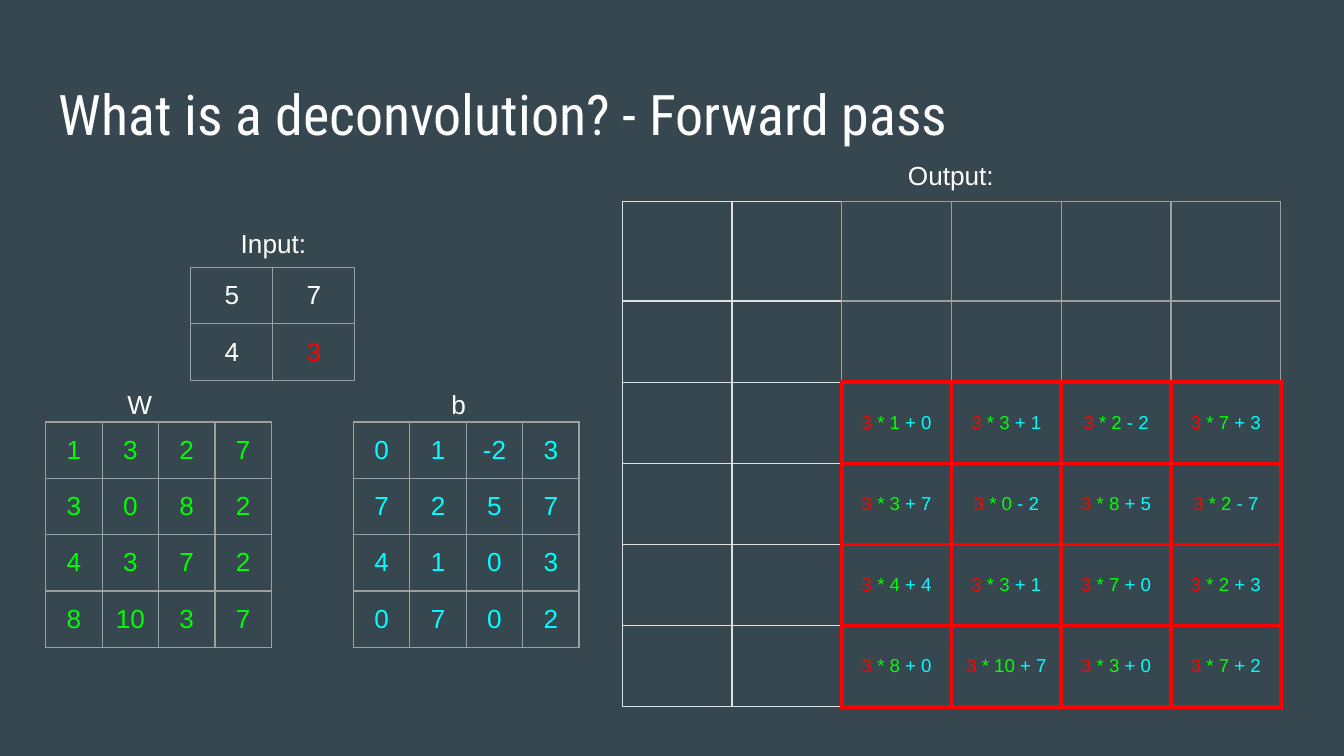
from dataclasses import dataclass

from lxml import etree
from pptx import Presentation
from pptx.dml.color import RGBColor
from pptx.enum.text import MSO_ANCHOR, PP_ALIGN
from pptx.oxml.ns import qn
from pptx.util import Inches, Pt

CENTER, LEFT = PP_ALIGN.CENTER, PP_ALIGN.LEFT
MIDDLE, TOP = MSO_ANCHOR.MIDDLE, MSO_ANCHOR.TOP
COLORS = {
    "background": "37474F", "white": "FFFFFF", "input": "FF0000", "weight": "00FF00",
    "bias": "00FFFF", "grey": "9E9E9E", "pale": "E0E0E0",
}
INSET = Inches(0.1)


@dataclass(frozen=True, order=True)
class Border:
    width: float
    rank: int
    color: str


@dataclass(frozen=True)
class Span:
    text: str
    color: str


@dataclass(frozen=True)
class Label:
    text: str
    left: float
    top: float
    width: float
    height: float = 0.27
    size: int = 14
    font: str = "Arial"
    align: PP_ALIGN = LEFT
    anchor: MSO_ANCHOR = TOP


@dataclass(frozen=True)
class Grid:
    left: float
    top: float
    columns: list[float]
    rows: list[float]
    cells: list[list[list[Span]]]
    borders: list[list[Border]]
    size: int = 14


PALE = Border(0.75, 0, "pale")
GREY = Border(0.75, 1, "grey")
RED = Border(2.25, 2, "input")

INPUT = [[5, 7], [4, 3]]
WEIGHTS = [[1, 3, 2, 7], [3, 0, 8, 2], [4, 3, 7, 2], [8, 10, 3, 7]]
BIASES = [[0, 1, -2, 3], [7, 2, 5, 7], [4, 1, 0, 3], [0, 7, 0, 2]]
SIGNS = ["++-+", "+-+-", "++++", "++++"]
LABELS = [
    Label("What is a deconvolution? - Forward pass", 0.34, 0.49, 9.32, 0.63, 30, "Roboto Condensed"),
    Label("W", 0.85, 2.79, 0.4),
    Label("b", 3.26, 2.79, 0.4),
    Label("Input:", 1.58, 1.67, 0.91, align=CENTER, anchor=MIDDLE),
    Label("Output:", 6.62, 1.17, 0.91, align=CENTER, anchor=MIDDLE),
]


def rgb(name: str) -> RGBColor:
    """Look up a named colour."""
    return RGBColor.from_string(COLORS[name])


def add_label(slide, label: Label) -> None:
    """Write one text box."""
    box = slide.shapes.add_textbox(*map(Inches, (label.left, label.top, label.width, label.height)))
    frame = box.text_frame
    frame.word_wrap = True
    frame.vertical_anchor = label.anchor
    frame.margin_left = frame.margin_right = frame.margin_top = frame.margin_bottom = INSET
    para = frame.paragraphs[0]
    para.text = label.text
    para.alignment = label.align
    para.font.size, para.font.name = Pt(label.size), label.font
    para.font.color.rgb = rgb("white")


def set_edge(cell, position: int, side: str, border: Border) -> None:
    """Draw one side of a cell."""
    properties = cell._tc.get_or_add_tcPr()
    line = etree.Element(qn(f"a:ln{side}"), w=str(Pt(border.width)))
    fill = etree.SubElement(line, qn("a:solidFill"))
    etree.SubElement(fill, qn("a:srgbClr"), val=COLORS[border.color])
    properties.insert(position, line)


def shared_border(borders: list[list[Border]], row: int, column: int, down: int, right: int) -> Border:
    """Pick the stronger border between a cell and its neighbour."""
    own = borders[row][column]
    row, column = row + down, column + right
    if 0 <= row < len(borders) and 0 <= column < len(borders[0]):
        return max(own, borders[row][column])
    return own


def fill_cell(cell, spans: list[Span], size: int) -> None:
    """Write coloured spans into a cell."""
    cell.fill.background()
    cell.vertical_anchor = MIDDLE
    cell.margin_left = cell.margin_right = cell.margin_top = cell.margin_bottom = INSET
    para = cell.text_frame.paragraphs[0]
    para.alignment = CENTER
    para.font.size, para.font.name = Pt(size), "Arial"
    for span in spans:
        run = para.add_run()
        run.text = span.text
        run.font.color.rgb = rgb(span.color)


def add_grid(slide, grid: Grid) -> None:
    """Draw one matrix as a table."""
    bounds = map(Inches, (grid.left, grid.top, sum(grid.columns), sum(grid.rows)))
    table = slide.shapes.add_table(len(grid.rows), len(grid.columns), *bounds).table
    table.first_row = table.horz_banding = False
    for column, width in zip(table.columns, grid.columns):
        column.width = Inches(width)
    for row, height in zip(table.rows, grid.rows):
        row.height = Inches(height)
    sides = [("L", 0, -1), ("R", 0, 1), ("T", -1, 0), ("B", 1, 0)]
    for row, line in enumerate(grid.cells):
        for column, spans in enumerate(line):
            cell = table.cell(row, column)
            fill_cell(cell, spans, grid.size)
            for position, (side, down, right) in enumerate(sides):
                set_edge(cell, position, side, shared_border(grid.borders, row, column, down, right))


def number_grid(left: float, top: float, width: float, height: float,
                values: list[list[int]], color: str) -> Grid:
    """Describe a square matrix of plain numbers."""
    count = len(values)
    cells = [[[Span(str(value), color)] for value in line] for line in values]
    return Grid(left, top, [width] * count, [height] * count, cells, [[GREY] * count] * count)


def output_grid() -> Grid:
    """Describe the output matrix with its active window."""
    factor = INPUT[-1][-1]
    cells = [[[] for _ in range(6)] for _ in range(6)]
    for row, signs in enumerate(SIGNS):
        for column, sign in enumerate(signs):
            cells[row + 2][column + 2] = [
                Span(f"{factor} ", "input"),
                Span(f"* {WEIGHTS[row][column]} ", "weight"),
                Span(f"{sign} {abs(BIASES[row][column])}", "bias"),
            ]
    borders = [[PALE] * 2 + [GREY if row < 2 else RED] * 4 for row in range(6)]
    return Grid(4.63, 1.5, [4.9 / 6] * 6, [0.74] + [3.02 / 5] * 5, cells, borders, 10)


def main() -> None:
    """Build the deconvolution slide."""
    deck = Presentation()
    deck.slide_width = Inches(10)
    deck.slide_height = Inches(10 * 9 / 16)
    page = deck.slides.add_slide(deck.slide_layouts[6])
    page.background.fill.solid()
    page.background.fill.fore_color.rgb = rgb("background")
    inputs = number_grid(1.42, 1.99, 0.61, 0.42, INPUT, "white")
    inputs.cells[-1][-1] = [Span(str(INPUT[-1][-1]), "input")]
    weights = number_grid(0.34, 3.14, 0.42, 0.38, WEIGHTS, "weight")
    biases = number_grid(2.63, 3.14, 0.42, 0.38, BIASES, "bias")
    for grid in (inputs, weights, output_grid(), biases):
        add_grid(page, grid)
    for label in LABELS:
        add_label(page, label)
    deck.save("out.pptx")


if __name__ == "__main__":
    main()
